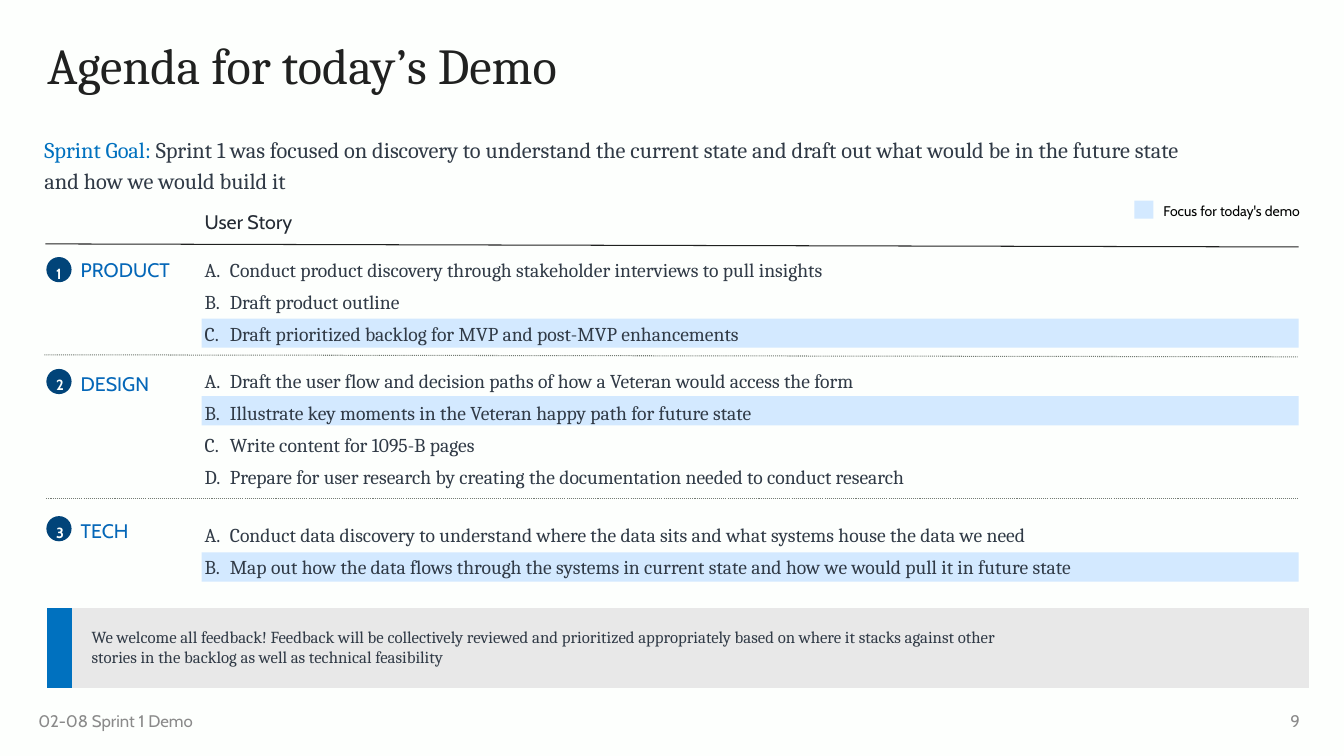
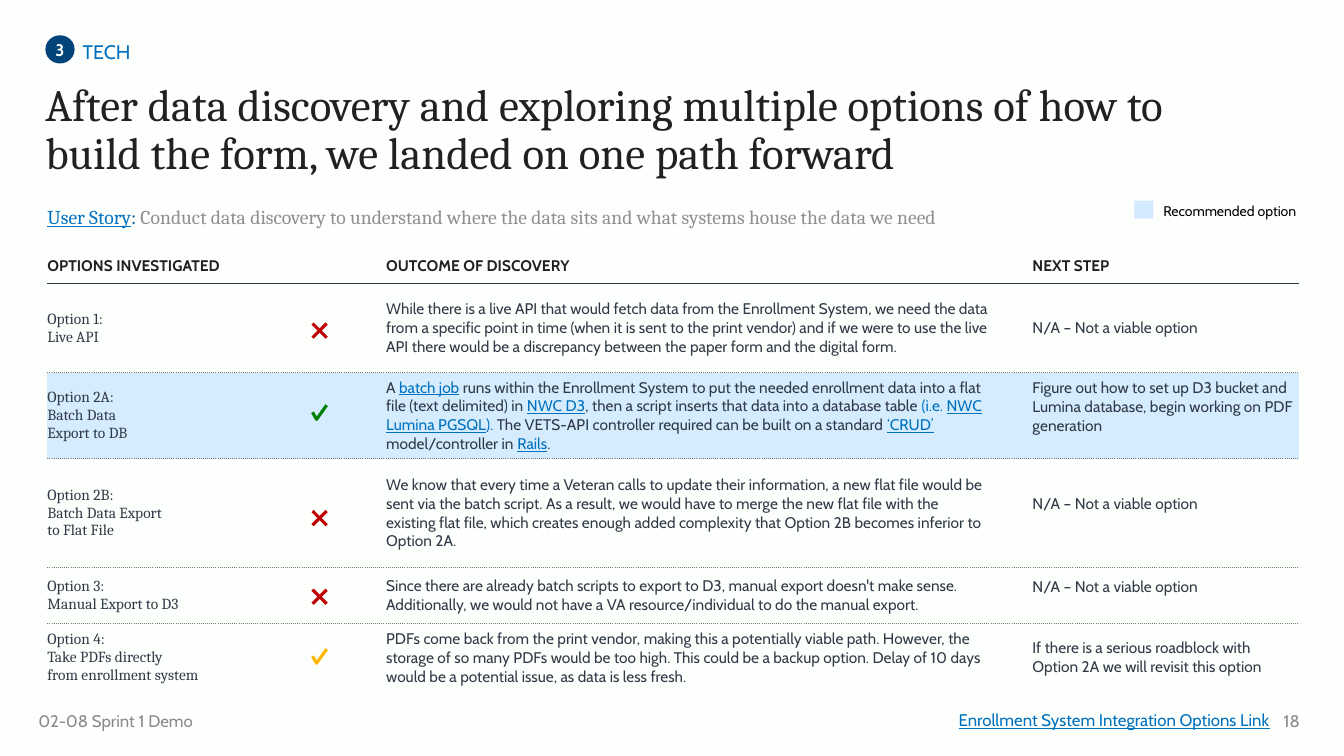
from lxml.etree import SubElement
from pptx import Presentation
from pptx.dml.color import RGBColor
from pptx.enum.dml import MSO_LINE
from pptx.enum.shapes import MSO_CONNECTOR, MSO_SHAPE
from pptx.enum.text import MSO_ANCHOR, PP_ALIGN
from pptx.oxml.ns import qn
from pptx.util import Inches, Pt

PAPER = RGBColor(0xFD, 0xFF, 0xFD)
BLACK = RGBColor(0x00, 0x00, 0x00)
INK = RGBColor(0x20, 0x21, 0x20)
SLATE = RGBColor(0x30, 0x3A, 0x46)
HEADING = RGBColor(0x24, 0x2B, 0x34)
NAVY = RGBColor(0x01, 0x44, 0x79)
BLUE = RGBColor(0x00, 0x71, 0xBF)
LABEL_BLUE = RGBColor(0x04, 0x67, 0xB8)
COLON_BLUE = RGBColor(0x00, 0x55, 0x8F)
PALE_BLUE = RGBColor(0xD3, 0xE9, 0xFF)
ROW_BLUE = RGBColor(0xD5, 0xEC, 0xFE)
PANEL = RGBColor(0xE8, 0xE8, 0xE8)
GRAY = RGBColor(0x8A, 0x8A, 0x8A)
STORY_GRAY = RGBColor(0x8F, 0x8F, 0x8F)
RULE = RGBColor(0x74, 0x7C, 0x74)
RED = RGBColor(0xC0, 0x00, 0x00)
GREEN = RGBColor(0x00, 0x7F, 0x00)
AMBER = RGBColor(0xFE, 0xB6, 0x00)

SERIF, SANS = "Cambria", "Cabin"
TITLE = {"name": SERIF, "size": Pt(36), "color": INK}
STORY = {"name": SERIF, "size": Pt(14), "color": SLATE}
LABEL = {"name": SANS, "size": Pt(14), "color": LABEL_BLUE}
FOOTER = {"name": SANS, "size": Pt(12), "color": GRAY}
LEGEND = {"name": SANS, "size": Pt(10), "color": BLACK}
BADGE = {"name": SANS, "size": Pt(10.5), "color": PAPER, "bold": True}
CELL = {"name": SANS, "size": Pt(11), "color": SLATE}
LINK = {"color": BLUE, "underline": True}
PADDED = (0.1, 0.05, 0.1, 0.05)
NO_GRID_STYLE = "{2D5ABB26-0587-4C30-8999-92F81FD0307C}"


def write(holder, paragraphs, style, margins=(0, 0, 0, 0), anchor=MSO_ANCHOR.TOP,
          lettered=False, **layout):
    """Fill a text frame or table cell; a paragraph is a string or a list of (text, changes)."""
    for side, margin in zip(("left", "top", "right", "bottom"), margins):
        setattr(holder, "margin_" + side, Inches(margin))
    holder.vertical_anchor = anchor
    frame = getattr(holder, "text_frame", holder)
    for index, content in enumerate(paragraphs):
        para = frame.add_paragraph() if index else frame.paragraphs[0]
        if lettered:
            properties = para._p.get_or_add_pPr()
            properties.set("marL", str(Inches(0.25)))
            properties.set("indent", str(-Inches(0.25)))
            SubElement(properties, qn("a:buAutoNum"), type="alphaUcPeriod")
            para.space_before = Pt(6 if index else 0)
        for name, value in layout.items():
            setattr(para, name, value)
        for text, changes in [(content, {})] if isinstance(content, str) else content:
            span = para.add_run()
            span.text = text
            for name, value in {**style, **changes}.items():
                if name == "color":
                    span.font.color.rgb = value
                else:
                    setattr(span.font, name, value)


def add_box(page, at, paragraphs=(), style=None, shape=None, fill=None, **options):
    """Add a text box, or a filled preset shape, with its text."""
    place = [Inches(length) for length in at]
    if shape is None:
        box = page.shapes.add_textbox(*place)
    else:
        box = page.shapes.add_shape(shape, *place)
        box.shadow.inherit = False
        box.fill.solid()
        box.fill.fore_color.rgb = fill
        box.line.fill.background()
    box.text_frame.word_wrap = True
    write(box.text_frame, paragraphs, style, **options)


deck = Presentation()
deck.slide_width, deck.slide_height = Inches(13.33), Inches(7.5)
deck.slide_master.background.fill.solid()
deck.slide_master.background.fill.fore_color.rgb = PAPER
agenda, options_page = pages = [deck.slides.add_slide(deck.slide_layouts[6]) for _ in range(2)]

# Titles, legends and footers
headers = [
    ("Agenda for today’s Demo", (0.47, 0.41, 12.42, 0.56), 36, "Focus for today's demo", "9"),
    ("After data discovery and exploring multiple options of how to build the form, "
     "we landed on one path forward", (0.45, 0.82, 11.11, 1.11), 32, "Recommended option", "18"),
]
for page, (title, at, size, legend, number) in zip(pages, headers):
    add_box(page, at, [title], {**TITLE, "size": Pt(size)}, line_spacing=0.9)
    add_box(page, (11.25, 1.99, 0.19, 0.18), shape=MSO_SHAPE.RECTANGLE, fill=PALE_BLUE)
    add_box(page, (11.44, 1.96, 1.6, 0.27), [legend], LEGEND, margins=PADDED)
    add_box(page, (0.33, 6.95, 1.9, 0.4), ["02-08 Sprint 1 Demo"], FOOTER,
            margins=(0.05, 0.05, 0.1, 0.05), anchor=MSO_ANCHOR.MIDDLE)
    add_box(page, (12.55, 6.95, 0.44, 0.4), [number], FOOTER, margins=PADDED,
            anchor=MSO_ANCHOR.MIDDLE, alignment=PP_ALIGN.RIGHT)

# Agenda: goal and column heading
add_box(agenda, (0.44, 1.31, 11.28, 0.59), [[
    ("Sprint Goal: ", {"color": BLUE}),
    ("Sprint 1 was focused on discovery to understand the current state and draft out what "
     "would be in the future state and how we would build it", {}),
]], {**STORY, "size": Pt(16)}, line_spacing=1.15)
add_box(agenda, (2.03, 2.08, 8, 0.24), ["User Story"], {**LABEL, "color": HEADING})

# Agenda: stories by team, with tops of badge, label, list and highlight
sections = [
    ("PRODUCT", 2.55, 2.56, 2.56, 3.16, [
        "Conduct product discovery through stakeholder interviews to pull insights",
        "Draft product outline",
        "Draft prioritized backlog for MVP and post-MVP enhancements"]),
    ("DESIGN", 3.66, 3.69, 3.66, 3.93, [
        "Draft the user flow and decision paths of how a Veteran would access the form",
        "Illustrate key moments in the Veteran happy path for future state",
        "Write content for 1095-B pages",
        "Prepare for user research by creating the documentation needed to conduct research"]),
    ("TECH", 5.12, 5.15, 5.19, 5.48, [
        "Conduct data discovery to understand where the data sits and what systems house "
        "the data we need",
        "Map out how the data flows through the systems in current state and how we would "
        "pull it in future state"]),
]
for number, (team, badge_top, label_top, list_top, focus_top, stories) in enumerate(sections, 1):
    add_box(agenda, (2, focus_top, 10.88, 0.29), shape=MSO_SHAPE.RECTANGLE, fill=PALE_BLUE)
    add_box(agenda, (0.46, badge_top, 0.25, 0.25), [str(number)], BADGE, MSO_SHAPE.OVAL, NAVY,
            margins=(0.06,) * 4, anchor=MSO_ANCHOR.MIDDLE, alignment=PP_ALIGN.CENTER,
            line_spacing=1.4)
    add_box(agenda, (0.8, label_top, 0.97, 0.24), [team], LABEL)
    add_box(agenda, (2.03, list_top, 9.7, 0.31 * len(stories)), stories, STORY, lettered=True)

# Options: section marker, user story and link
add_box(options_page, (0.45, 0.35, 0.29, 0.28), ["3"], {**BADGE, "size": Pt(12)},
        MSO_SHAPE.OVAL, NAVY, anchor=MSO_ANCHOR.MIDDLE, alignment=PP_ALIGN.CENTER)
add_box(options_page, (0.82, 0.35, 5.28, 0.4), ["TECH"], {**LABEL, "color": BLUE},
        margins=(0, 0.05, 0, 0.05))
add_box(options_page, (0.47, 2, 10.5, 0.27), [[
    ("User Story", LINK),
    (": ", {"color": COLON_BLUE}),
    ("Conduct data discovery to understand where the data sits and what systems house "
     "the data we need", {}),
]], {**STORY, "color": STORY_GRAY}, line_spacing=1.15)
add_box(options_page, (8.36, 6.99, 4.33, 0.3), ["Enrollment System Integration Options Link"],
        {**FOOTER, **LINK}, margins=PADDED, alignment=PP_ALIGN.RIGHT)

# Tables
feedback = agenda.shapes.add_table(
    1, 2, Inches(0.47), Inches(6.03), Inches(12.41), Inches(0.8)).table
options = options_page.shapes.add_table(
    6, 3, Inches(0.47), Inches(2.47), Inches(12.41), Inches(4.39)).table
for table, widths, heights in [
    (feedback, [0.14, 12.27], [0.8]),
    (options, [3.36, 6.11, 2.94], [0.34, 0.89, 0.85, 1.08, 0.56, 0.67]),
]:
    table.first_row = table.horz_banding = False
    table._tbl.tblPr.find(qn("a:tableStyleId")).text = NO_GRID_STYLE
    for column, width in zip(table.columns, widths):
        column.width = Inches(width)
    for row, height in zip(table.rows, heights):
        row.height = Inches(height)

# Agenda: feedback note
for cell, color in zip(feedback.rows[0].cells, (BLUE, PANEL)):
    cell.fill.solid()
    cell.fill.fore_color.rgb = color
write(feedback.cell(0, 1), [
    "We welcome all feedback! Feedback will be collectively reviewed and prioritized "
    "appropriately based on where it stacks against other stories in the backlog as well as "
    "technical feasibility"], {**STORY, "size": Pt(12)}, (0.2, 0.2, 2.9, 0.2), MSO_ANCHOR.MIDDLE)

# Options: table text, with the bottom margin of the last column
NOT_VIABLE = "N/A – Not a viable option"
option_rows = [
    (["OPTIONS INVESTIGATED"], "OUTCOME OF DISCOVERY", "NEXT STEP", 0),
    (["Option 1:", "Live API"],
     "While there is a live API that would fetch data from the Enrollment System, we need the "
     "data from a specific point in time (when it is sent to the print vendor) and if we were to "
     "use the live API there would be a discrepancy between the paper form and the digital form.",
     NOT_VIABLE, 0),
    (["Option 2A:", "Batch Data", "Export to DB"],
     [("A ", {}), ("batch job", LINK),
      (" runs within the Enrollment System to put the needed enrollment data into a flat file "
       "(text delimited) in ", {}), ("NWC D3", LINK),
      (", then a script inserts that data into a database table ", {}),
      ("(i.e. ", {"color": BLUE}), ("NWC Lumina PGSQL", LINK), ("). ", {"color": BLUE}),
      ("The VETS-API controller required can be built on a standard ", {}), ("‘CRUD’", LINK),
      (" model/controller in ", {}), ("Rails", LINK), (".", {})],
     "Figure out how to set up D3 bucket and Lumina database, begin working on PDF generation",
     0.18),
    (["Option 2B:", "Batch Data Export", "to Flat File"],
     "We know that every time a Veteran calls to update their information, a new flat file would "
     "be sent via the batch script. As a result, we would have to merge the new flat file with "
     "the existing flat file, which creates enough added complexity that Option 2B becomes "
     "inferior to Option 2A.", NOT_VIABLE, 0.18),
    (["Option 3:", "Manual Export to D3"],
     "Since there are already batch scripts to export to D3, manual export doesn't make sense. "
     "Additionally, we would not have a VA resource/individual to do the manual export.",
     NOT_VIABLE, 0.18),
    (["Option 4:", "Take PDFs directly", "from enrollment system"],
     "PDFs come back from the print vendor, making this a potentially viable path. However, the "
     "storage of so many PDFs would be too high. This could be a backup option. Delay of 10 days "
     "would be a potential issue, as data is less fresh.",
     "If there is a serious roadblock with Option 2A we will revisit this option", 0),
]
last_row = len(option_rows) - 1
for row, (name, outcome, next_step, bottom) in enumerate(option_rows):
    margins = [(0, 0, 1.1, 0), (0, 0, 0.1, 0), (0.3, 0, 0, bottom)]
    for column, paragraphs in enumerate((name, [outcome], [next_step])):
        cell = options.cell(row, column)
        style = {**CELL, "name": SANS if column or row == 0 else SERIF}
        if row == 0:
            style.update(color=INK, bold=True)
        write(cell, paragraphs, style, margins[column], MSO_ANCHOR.MIDDLE)
        # Rules between rows: solid under the heading, dotted below
        for tag, rule in (("a:lnT", row - 1), ("a:lnB", row)):
            if 0 <= rule < last_row:
                border = SubElement(cell._tc.get_or_add_tcPr(), qn(tag), w=str(Pt(0.75)))
                paint = SubElement(border, qn("a:solidFill"))
                SubElement(paint, qn("a:srgbClr"), val=str(RULE if rule else SLATE))
                SubElement(border, qn("a:prstDash"), val="sysDot" if rule else "solid")
        if row == 2:
            cell.fill.solid()
            cell.fill.fore_color.rgb = ROW_BLUE
        else:
            cell.fill.background()

# Options: check marks
MARK_LEFT, MARK_SIZE = 3.1, 0.14
MARK_RIGHT = MARK_LEFT + MARK_SIZE
for top, color in ((4.02, GREEN), (6.44, AMBER)):
    corners = [(Inches(x), Inches(y)) for x, y in (
        (MARK_LEFT, top + MARK_SIZE / 2), (MARK_LEFT + 0.04, top + MARK_SIZE), (MARK_RIGHT, top))]
    builder = options_page.shapes.build_freeform(*corners[0])
    builder.add_line_segments(corners[1:], close=False)
    check = builder.convert_to_shape()
    check.shadow.inherit = False
    check.fill.background()
    check.line.color.rgb = color
    check.line.width = Pt(2.25)

# Agenda rules and option crosses
lines = [
    (agenda, (0.45, 2.42, 12.88, 2.45), INK, 0.75, MSO_LINE.SOLID),
    (agenda, (0.44, 3.52, 12.87, 3.54), RULE, 0.75, MSO_LINE.ROUND_DOT),
    (agenda, (0.46, 4.95, 12.88, 4.95), RULE, 0.75, MSO_LINE.ROUND_DOT),
]
for top in (3.21, 5.07, 5.85):
    for start, end in ((MARK_LEFT, MARK_RIGHT), (MARK_RIGHT, MARK_LEFT)):
        lines.append((options_page, (start, top, end, top + MARK_SIZE), RED, 2.25, MSO_LINE.SOLID))
for page, ends, color, width, dash in lines:
    line = page.shapes.add_connector(MSO_CONNECTOR.STRAIGHT, *[Inches(end) for end in ends])
    line.line.color.rgb = color
    line.line.width = Pt(width)
    line.line.dash_style = dash
    SubElement(line._element.spPr, qn("a:effectLst"))

deck.save("out.pptx")
